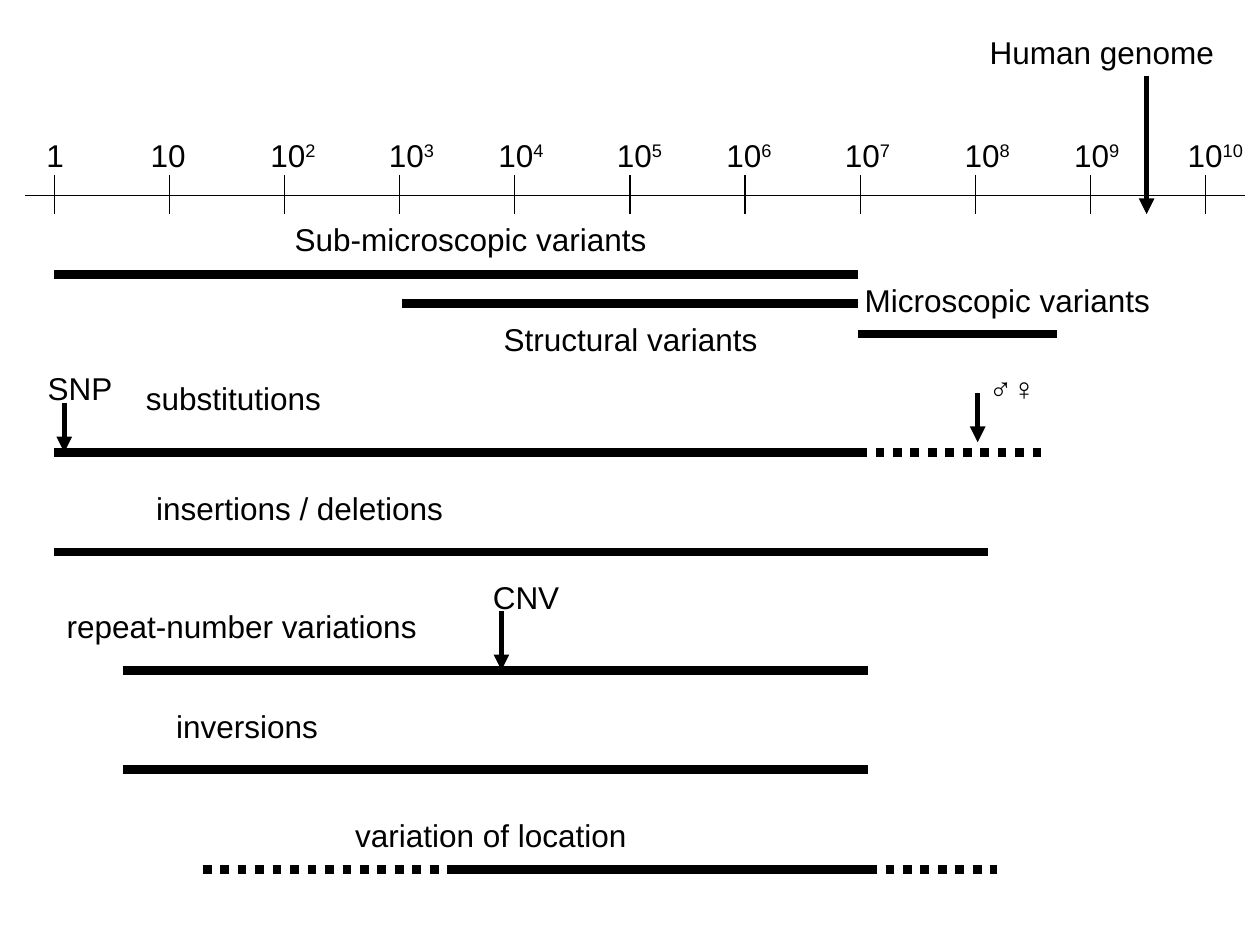
from pptx import Presentation
from pptx.dml.color import RGBColor
from pptx.enum.dml import MSO_LINE as Dash
from pptx.enum.shapes import MSO_CONNECTOR as Link
from pptx.enum.text import MSO_AUTO_SIZE as Fit, PP_ALIGN as Align
from pptx.oxml.ns import qn
from pptx.util import Inches, Pt
from lxml.etree import SubElement

deck = Presentation()
deck.slide_width, deck.slide_height = Inches(10), Inches(7.5)
slide = deck.slides.add_slide(deck.slide_layouts[6])
CELL = deck.slide_width / 100
INK = "000000"


def put(text, x, y, w, power="", align=Align.CENTER, size=18, font="Arial", color=INK):
    box = slide.shapes.add_textbox(*[round(n * CELL) for n in (x, y, w, 4)])
    frame = box.text_frame
    frame.word_wrap = True
    frame.auto_size = Fit.SHAPE_TO_FIT_TEXT
    para = frame.paragraphs[0]
    para.alignment = align
    para.space_before = Pt(11.2)
    for part in filter(None, (text, power)):
        run = para.add_run()
        run.text = part
        run.font.size = Pt(size)
        run.font.name = font
        run.font.color.rgb = RGBColor.from_string(color)
    if power:
        run.font._element.set("baseline", "30000")


def rule(x, y, right, low, width=5, dash=None, head=False, color=INK):
    ends = [round(n * CELL) for n in (x, y, right, low)]
    line = slide.shapes.add_connector(Link.STRAIGHT, *ends)
    line.line.width = Pt(width)
    line.line.color.rgb = RGBColor.from_string(color)
    if dash:
        line.line.dash_style = dash
    if head:
        SubElement(line.line._get_or_add_ln(), qn("a:tailEnd"), type="triangle")
    SubElement(line._element.spPr, qn("a:effectLst"))


rule(2, 15.5, 98.8, 15.5, width=0.75)
scale = [
    ("1", "", 2.7, 3.1), ("10", "", 9.8, 7.1), ("10", "2", 20.1, 6.3),
    ("10", "3", 29.5, 6.3), ("10", "4", 38.2, 6.3), ("10", "5", 47.6, 6.3),
    ("10", "6", 56.3, 6.3), ("10", "7", 65.7, 6.3), ("10", "8", 75.2, 6.3),
    ("10", "9", 83.9, 6.3), ("10", "10", 92.9, 7.1),
]
for step, (base, power, x, w) in enumerate(scale):
    tick = 4.3 + step * 9.14
    rule(tick, 13.9, tick, 17, width=0.75)
    put(base, x, 10.3, w, power=power)

bars = [
    (4.3, 68.1, 21.8), (31.9, 68.1, 24.1), (68.1, 83.9, 26.5),
    (4.3, 68.1, 35.9), (4.3, 78.4, 43.8), (9.8, 68.9, 53.2),
    (9.8, 68.9, 61.1), (35.8, 68.9, 69),
]
for x, right, y in bars:
    rule(x, y, right, y)

for x, right, y in [(68.1, 83.1, 35.9), (16.1, 35.8, 69), (68.9, 79.1, 69)]:
    rule(x, y, right, y, dash=Dash.ROUND_DOT)

for x, y, low in [(91, 6, 17), (5.1, 32, 35.9), (39.8, 48.5, 53.2), (77.6, 31.2, 35.1)]:
    rule(x, y, x, low, width=3, head=True)

for text, x, y, w in [
    ("Human genome", 76.8, 2.1, 21.3),
    ("Sub-microscopic variants", 16.9, 17, 40.9),
    ("Structural variants", 33.5, 24.9, 33.1),
    ("Microscopic variants", 63.4, 21.8, 33.1),
    ("SNP", 2, 28.8, 8.7),
    ("♂♀", 76, 28.8, 8.7),
    ("CNV", 37.4, 45.4, 8.7),
]:
    put(text, x, y, w)

for text, x, y, w in [
    ("substitutions", 10.6, 29.6, 18.9),
    ("insertions / deletions", 11.4, 38.3, 29.1),
    ("repeat-number variations", 4.3, 47.7, 33.1),
    ("inversions", 13, 55.6, 24.4),
    ("variation of location", 27.2, 64.3, 25.2),
]:
    put(text, x, y, w, align=Align.LEFT)

deck.save("out.pptx")
